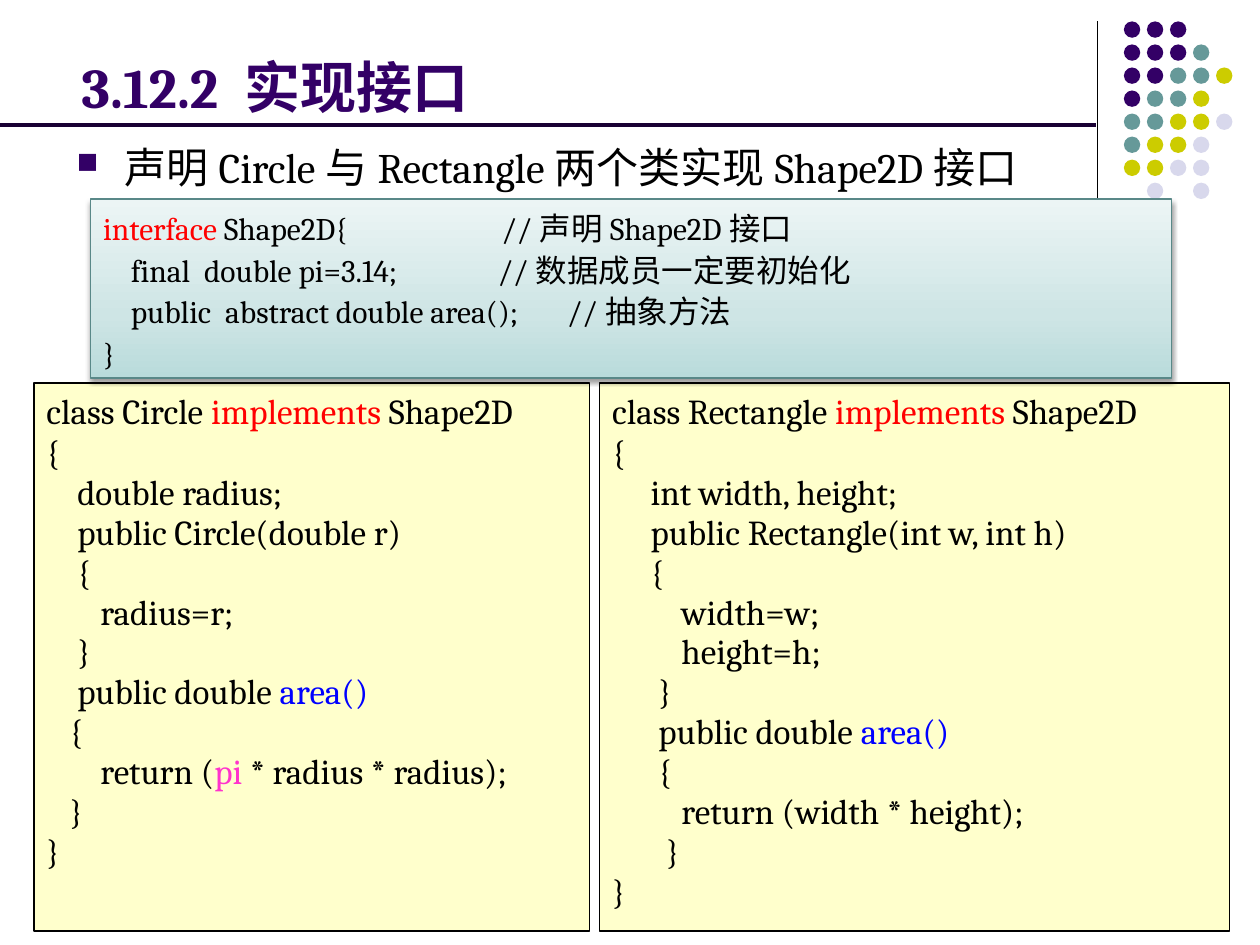
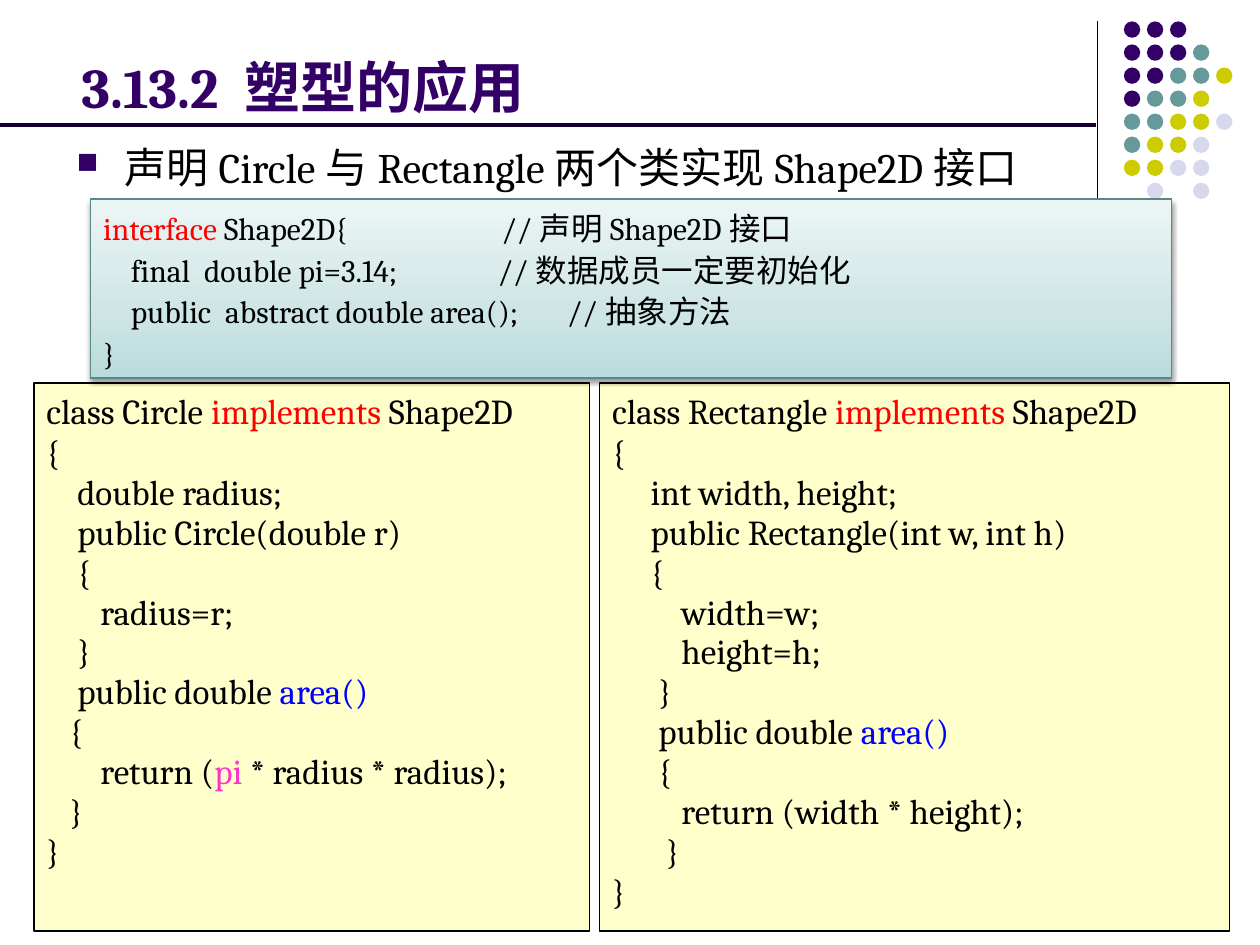
from copy import deepcopy
from dataclasses import dataclass, field

from lxml.etree import SubElement
from pptx import Presentation
from pptx.dml.color import RGBColor
from pptx.enum.shapes import MSO_CONNECTOR as Connector, MSO_SHAPE as Preset
from pptx.enum.text import MSO_ANCHOR as Anchor, PP_ALIGN as Align
from pptx.oxml.ns import qn
from pptx.util import Inches, Pt

FONT = "Cambria"
BLACK, RED, BLUE, PINK = "000000", "FF0000", "0000FF", "FF33CC"
PURPLE, RULE_PURPLE, CREAM = "330066", "190033", "FFFFCC"
TEAL_EDGE = "598888"
TEAL_STOPS = ((0, "B9DBDB"), (0.35, "CEE5E5"), (1, "ECF5F5"))

DOT_COLORS = {"P": PURPLE, "T": "669999", "Y": "CCCC00", "L": "D8D8EC"}
DOT_ROWS = ("PPP", "PPPT", "PPTTY", "PTTY", "TTYYL", "TYYL", "YYLL", " L L")
DOT_LEFT, DOT_TOP, DOT_SIZE = 8.92, 0.17, 0.13
DOT_PITCH = 1.28 / 7

TITLES = ("3.12.2 实现接口", "3.13.2 塑型的应用")
BULLET_TEXT = "声明Circle与Rectangle两个类实现Shape2D接口"

INTERFACE_CODE = """interface Shape2D{\t//声明Shape2D接口
    final  double pi=3.14;\t//数据成员一定要初始化
    public  abstract double area();\t//抽象方法
}"""

CIRCLE_CODE = """class Circle implements Shape2D
{
    double radius;
    public Circle(double r)
    {
       radius=r;
    }
    public double area()
   {
       return (pi * radius * radius);
   }
}"""

RECTANGLE_CODE = """class Rectangle implements Shape2D
{
     int width, height;
     public Rectangle(int w, int h)
     {
         width=w;
         height=h;
      }
      public double area()
      {
         return (width * height);
       }
}"""


@dataclass(frozen=True)
class CodePanel:
    left: float
    top: float
    width: float
    height: float
    code: str
    size: int
    highlights: dict[str, str]
    edge: str = BLACK
    first_spacing: float = 1.0
    line_spacing: float = 0.7
    space_before: int = 6
    comment_tabs: dict[int, float] = field(default_factory=dict)


CIRCLE_PANEL = CodePanel(0.27, 3.04, 4.41, 4.35, CIRCLE_CODE, 20,
                         {"implements": RED, "area()": BLUE, "pi": PINK})
RECTANGLE_PANEL = CodePanel(4.76, 3.04, 5, 4.35, RECTANGLE_CODE, 20,
                            {"implements": RED, "area()": BLUE})
INTERFACE_PANEL = CodePanel(0.72, 1.58, 8.58, 1.42, INTERFACE_CODE, 18,
                            {"interface": RED}, TEAL_EDGE, 1.1, 1.1, 0,
                            {0: 3.16, 1: 3.13, 2: 3.68})


def rgb(color: str) -> RGBColor:
    return RGBColor.from_string(color)


def format_run(run, size: int, color: str, bold: bool = False) -> None:
    run.font.name = FONT
    run.font.size = Pt(size)
    run.font.bold = bold
    run.font.color.rgb = rgb(color)


def add_rule(slide, start: tuple, end: tuple, color: str, width: float) -> None:
    connector = slide.shapes.add_connector(
        Connector.STRAIGHT, *map(Inches, start + end))
    connector.line.color.rgb = rgb(color)
    connector.line.width = Pt(width)
    SubElement(connector._element.spPr, qn("a:effectLst"))


def add_dots(slide) -> None:
    group = slide.shapes.add_group_shape()
    for row, pattern in enumerate(DOT_ROWS):
        for column, key in enumerate(pattern):
            if key == " ":
                continue
            dot = group.shapes.add_shape(
                Preset.OVAL, Inches(DOT_LEFT + column * DOT_PITCH),
                Inches(DOT_TOP + row * DOT_PITCH),
                Inches(DOT_SIZE), Inches(DOT_SIZE))
            dot.shadow.inherit = False
            dot.fill.solid()
            dot.fill.fore_color.rgb = rgb(DOT_COLORS[key])
            dot.line.fill.background()


def add_text(slide, box: tuple, text: str, size: int, color: str,
             anchor: Anchor, bold: bool = False):
    shape = slide.shapes.add_textbox(*map(Inches, box))
    text_frame = shape.text_frame
    text_frame.word_wrap = True
    text_frame.vertical_anchor = anchor
    text_frame.text = text
    paragraph = text_frame.paragraphs[0]
    format_run(paragraph.runs[0], size, color, bold)
    return paragraph


def add_bullet(paragraph) -> None:
    properties = paragraph._p.get_or_add_pPr()
    properties.set("marL", str(Inches(0.38)))
    properties.set("indent", str(-Inches(0.38)))
    bullet_color = SubElement(properties, qn("a:buClr"))
    SubElement(bullet_color, qn("a:srgbClr"), val=PURPLE)
    SubElement(properties, qn("a:buSzPct"), val="70000")
    SubElement(properties, qn("a:buChar"), char="■")


def add_tab_stop(paragraph, position: float) -> None:
    tabs = SubElement(paragraph._p.get_or_add_pPr(), qn("a:tabLst"))
    SubElement(tabs, qn("a:tab"), pos=str(Inches(position)), algn="l")


def split_highlight(line: str, highlights: dict[str, str]) -> list:
    for word, color in highlights.items():
        if word in line:
            before, _, after = line.partition(word)
            pieces = [(before, BLACK), (word, color), (after, BLACK)]
            return [piece for piece in pieces if piece[0]]
    return [(line, BLACK)]


def add_code_panel(slide, panel: CodePanel):
    shape = slide.shapes.add_shape(
        Preset.RECTANGLE, Inches(panel.left), Inches(panel.top),
        Inches(panel.width), Inches(panel.height))
    shape.shadow.inherit = False
    shape.fill.solid()
    shape.fill.fore_color.rgb = rgb(CREAM)
    shape.line.color.rgb = rgb(panel.edge)
    shape.line.width = Pt(0.75)
    text_frame = shape.text_frame
    text_frame.word_wrap = True
    text_frame.vertical_anchor = Anchor.TOP
    for index, line in enumerate(panel.code.splitlines()):
        paragraph = text_frame.add_paragraph() if index else text_frame.paragraphs[0]
        if index in panel.comment_tabs:
            add_tab_stop(paragraph, panel.comment_tabs[index])
        paragraph.alignment = Align.LEFT
        paragraph.line_spacing = panel.line_spacing if index else panel.first_spacing
        paragraph.space_before = Pt(panel.space_before if index else 0)
        for text, color in split_highlight(line, panel.highlights):
            run = paragraph.add_run()
            run.text = text
            format_run(run, panel.size, color)
    return shape


def apply_teal_gradient(shape) -> None:
    shape.fill.gradient()
    shape.fill.gradient_angle = 90
    stop_list = shape._element.spPr.find(".//" + qn("a:gsLst"))
    stop_list.insert(1, deepcopy(stop_list[0]))
    for stop, (position, color) in zip(shape.fill.gradient_stops, TEAL_STOPS):
        stop.position = position
        stop.color.rgb = rgb(color)


def apply_drop_shadow(shape) -> None:
    effects = shape._element.spPr.find(qn("a:effectLst"))
    shadow = SubElement(effects, qn("a:outerShdw"), blurRad=str(Pt(3.1)),
                        dist=str(Pt(1.6)), dir="5400000", rotWithShape="0")
    color = SubElement(shadow, qn("a:srgbClr"), val=BLACK)
    SubElement(color, qn("a:alpha"), val="38000")


def add_interface_slide(presentation, title: str) -> None:
    slide = presentation.slides.add_slide(presentation.slide_layouts[6])
    add_rule(slide, (8.71, 0.17), (8.71, 1.83), BLACK, 0.75)
    add_dots(slide)
    add_text(slide, (0.55, 0.21, 8.25, 0.79), title, 32, PURPLE,
             Anchor.BOTTOM, bold=True)
    add_bullet(add_text(slide, (0.51, 1.07, 9, 0.51), BULLET_TEXT, 24, BLACK,
                        Anchor.TOP))
    add_code_panel(slide, CIRCLE_PANEL)
    add_code_panel(slide, RECTANGLE_PANEL)
    interface_box = add_code_panel(slide, INTERFACE_PANEL)
    apply_teal_gradient(interface_box)
    apply_drop_shadow(interface_box)
    add_rule(slide, (0, 0.99), (8.7, 0.99), RULE_PURPLE, 2.25)


def main() -> None:
    presentation = Presentation()
    presentation.slide_width = Inches(10)
    presentation.slide_height = Inches(7.5)
    for title in TITLES:
        add_interface_slide(presentation, title)
    presentation.save("out.pptx")


if __name__ == "__main__":
    main()
